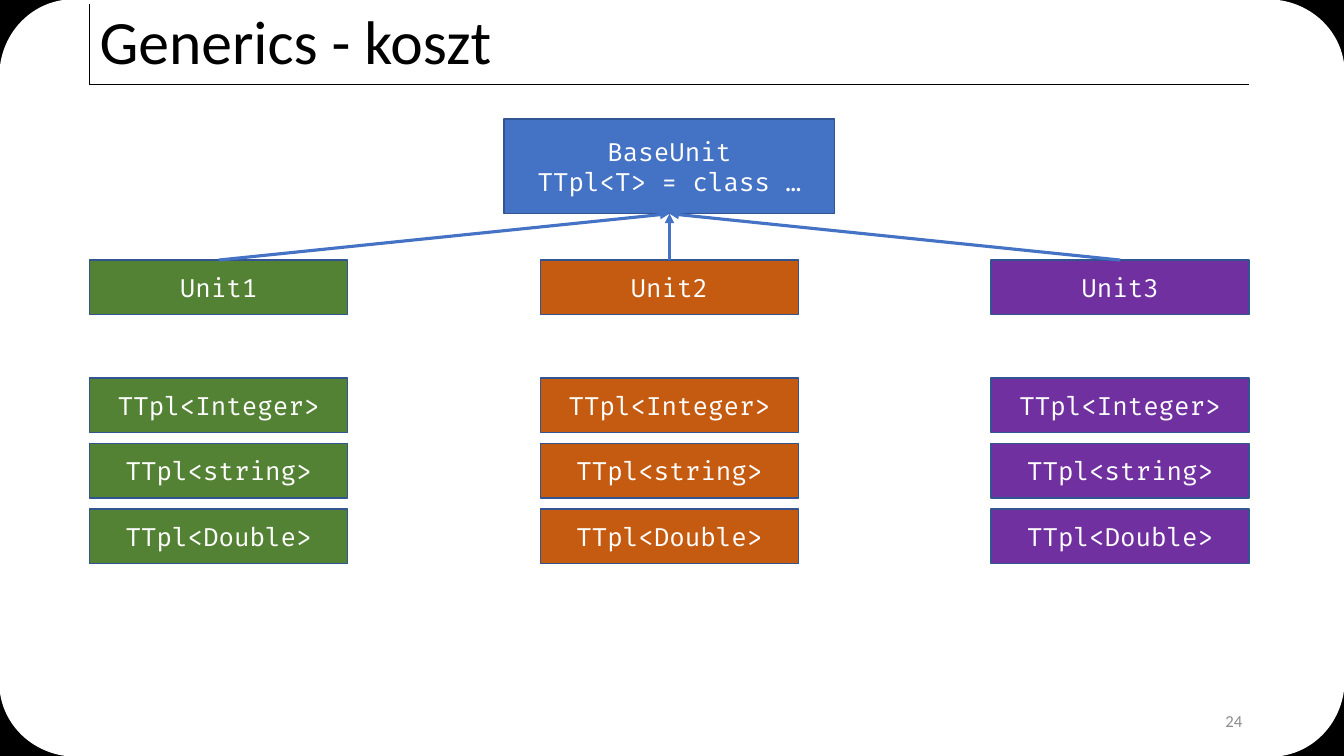
from pptx import Presentation
from pptx.dml.color import RGBColor
from pptx.enum.shapes import MSO_CONNECTOR, MSO_SHAPE
from pptx.enum.text import MSO_ANCHOR, PP_ALIGN
from pptx.oxml.ns import qn
from pptx.util import Inches, Pt
from lxml.etree import SubElement

WIDTH, HEIGHT = 13.33, 7.5
LEFT, CONTENT_W = 0.89, 11.5
COLORS = {
    "black": "000000", "white": "FFFFFF", "gray": "8C8C8C", "blue": "4472C4",
    "border": "325491", "green": "548235", "orange": "C55A11", "purple": "7030A0",
}
TITLE = {"name": "Calibri", "size": Pt(44), "color": "black"}
NUMBER = {"name": "Calibri", "size": Pt(12), "color": "gray"}
CODE = {"name": "Fira Code", "size": Pt(18), "color": "white"}
UNITS = [("Unit1", "green"), ("Unit2", "orange"), ("Unit3", "purple")]
TYPES = ["Integer", "string", "Double"]


def rgb(name):
    return RGBColor.from_string(COLORS[name])


def write(sp, lines, fmt, align, spacing=None):
    tf = sp.text_frame
    tf.word_wrap = True
    tf.vertical_anchor = MSO_ANCHOR.MIDDLE
    for i, line in enumerate(lines):
        p = tf.add_paragraph() if i else tf.paragraphs[0]
        p.alignment = align
        p.line_spacing = spacing
        r = p.add_run()
        r.text = line
        for key, value in fmt.items():
            if key == "color":
                r.font.color.rgb = rgb(value)
            else:
                setattr(r.font, key, value)


def add_text(s, box, text, fmt, align, spacing=None):
    sp = s.shapes.add_textbox(*map(Inches, box))
    write(sp, [text], fmt, align, spacing)


def add_block(s, kind, box, fill, border):
    sp = s.shapes.add_shape(kind, *map(Inches, box))
    sp.shadow.inherit = False
    sp.fill.solid()
    sp.fill.fore_color.rgb = rgb(fill)
    sp.line.color.rgb = rgb(border)
    sp.line.width = Pt(1)
    return sp


def add_code_box(s, box, lines, fill):
    sp = add_block(s, MSO_SHAPE.RECTANGLE, box, fill, "border")
    write(sp, lines, CODE, PP_ALIGN.CENTER)
    return sp


def add_line(s, start, end, color, width):
    line = s.shapes.add_connector(MSO_CONNECTOR.STRAIGHT, *map(Inches, start + end))
    line.line.color.rgb = rgb(color)
    line.line.width = Pt(width)
    SubElement(line._element.spPr, qn("a:effectLst"))
    return line


def add_arrow(s, source, target):
    line = add_line(s, (0, 0), (0, 0), "blue", 2.25)
    line.begin_connect(source, 0)
    line.end_connect(target, 2)
    SubElement(line.line._get_or_add_ln(), qn("a:tailEnd"), type="triangle")


def add_corners(s, x, y, w, h):
    parts = [(MSO_SHAPE.RECTANGLE, 0.79, 0.77, "black"),
             (MSO_SHAPE.OVAL, 1.45, 1.51, "white")]
    for turn, (right, bottom) in enumerate([(0, 0), (1, 0), (1, 1), (0, 1)]):
        for kind, pw, ph, color in parts:
            seen_w, seen_h = (ph, pw) if turn % 2 else (pw, ph)
            cx = x + seen_w / 2 + right * (w - seen_w)
            cy = y + seen_h / 2 + bottom * (h - seen_h)
            sp = add_block(s, kind, (cx - pw / 2, cy - ph / 2, pw, ph), color, color)
            sp.rotation = 90 * turn


def add_title(s, x, y, w, h, text):
    corner = (x, y + h)
    add_line(s, corner, (x + w, y + h), "black", 0.5)
    add_line(s, corner, (x, y), "black", 0.5)
    add_text(s, (x, y, w, h), text, TITLE, PP_ALIGN.LEFT, 0.9)


def add_unit(s, x, y, w, name, color):
    h, types_top, step = 0.54, 1.17, 0.65
    head = add_code_box(s, (x, y, w, h), [name], color)
    for i, kind in enumerate(TYPES):
        add_code_box(s, (x, y + types_top + i * step, w, h), [f"TTpl<{kind}>"], color)
    return head


def add_diagram(s, x, y, w):
    base_w, unit_w = 3.28, 2.56
    base = add_code_box(s, (x + (w - base_w) / 2, y, base_w, 0.94),
                        ["BaseUnit", "TTpl<T> = class …"], "blue")
    step = (w - unit_w) / (len(UNITS) - 1)
    heads = [add_unit(s, x + i * step, y + 1.4, unit_w, name, color)
             for i, (name, color) in enumerate(UNITS)]
    for head in heads:
        add_arrow(s, head, base)


prs = Presentation()
prs.slide_width, prs.slide_height = Inches(WIDTH), Inches(HEIGHT)
s = prs.slides.add_slide(prs.slide_layouts[6])
add_corners(s, 0, 0, WIDTH, HEIGHT)
add_title(s, LEFT, 0.04, CONTENT_W, 0.8, "Generics - koszt")
add_text(s, (9.42, 6.95, 3, 0.4), "24", NUMBER, PP_ALIGN.RIGHT)
add_diagram(s, LEFT, 1.18, CONTENT_W)
prs.save("out.pptx")
